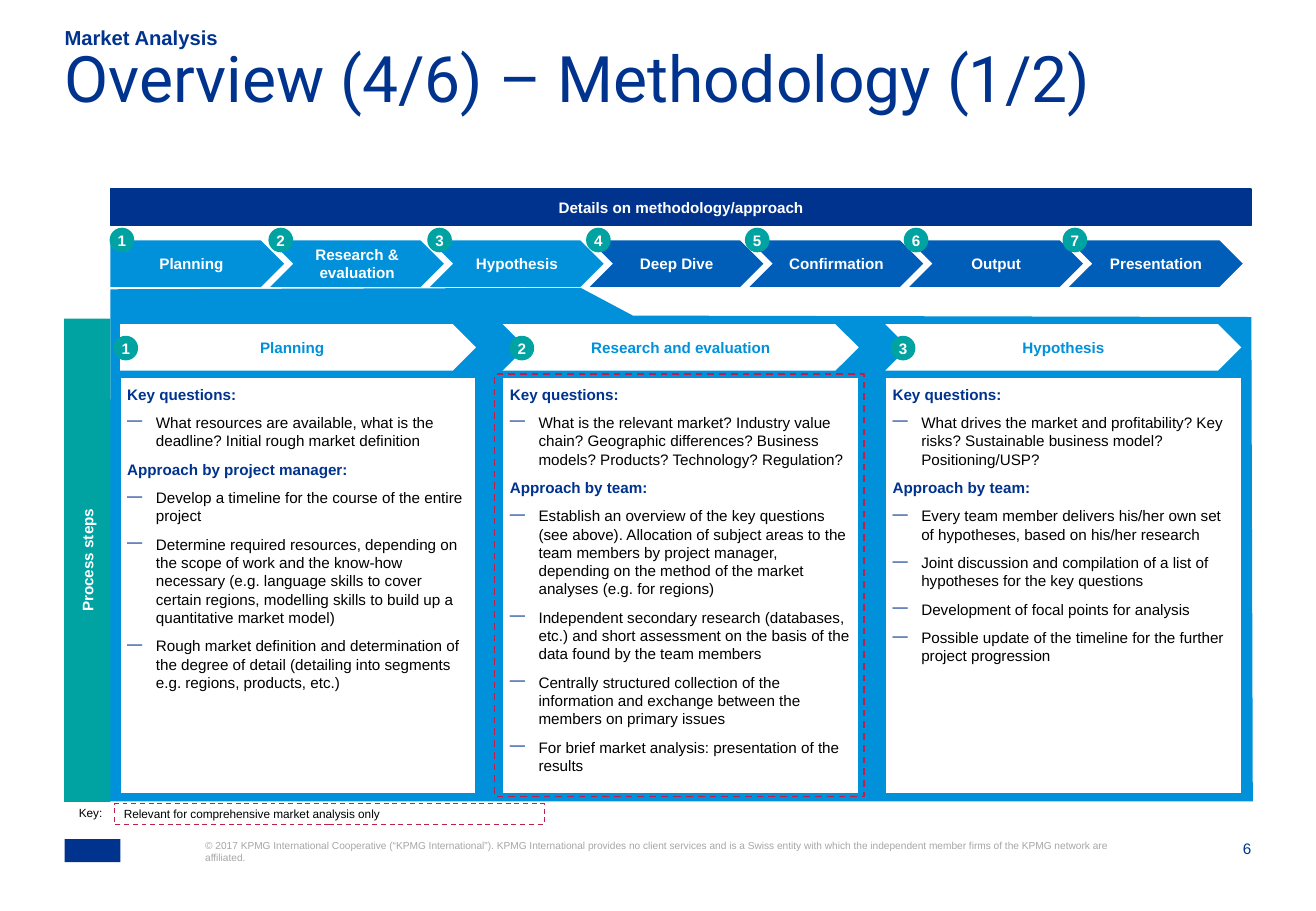
from pptx import Presentation
from pptx import util as u
from pptx.dml.color import RGBColor
from pptx.enum import dml, shapes, text
from pptx.oxml import parse_xml
from pptx.oxml.ns import nsdecls

NAVY = RGBColor(0x00, 0x33, 0x8D)
BLUE = RGBColor(0x00, 0x5E, 0xB8)
SKY = RGBColor(0x00, 0x91, 0xDA)
TEAL = RGBColor(0x00, 0xA3, 0xA1)
RED = RGBColor(0xBC, 0x20, 0x4B)
GREY = RGBColor(0xA6, 0xA6, 0xA6)
WHITE = RGBColor(0xFF, 0xFF, 0xFF)
BLACK = RGBColor(0x00, 0x00, 0x00)
Cm = u.Cm
Kind = shapes.MSO_SHAPE
Side = text.PP_ALIGN
Hold = text.MSO_ANCHOR

deck = Presentation()
deck.slide_width, deck.slide_height = Cm(27.51), Cm(19.05)
slide = deck.slides.add_slide(deck.slide_layouts[6])


def draw(kind, x, y, w, h, fill=None, line=None, width=1, dash=False):
    box = [Cm(v) for v in (x, y, w, h)]
    if kind is None:
        return slide.shapes.add_textbox(*box)
    item = slide.shapes.add_shape(kind, *box)
    item.shadow.inherit = False
    if fill is None:
        item.fill.background()
    else:
        item.fill.solid()
        item.fill.fore_color.rgb = fill
    if line is None:
        item.line.fill.background()
    else:
        item.line.color.rgb = line
        item.line.width = u.Pt(width)
    if dash:
        item.line.dash_style = dml.MSO_LINE.DASH
    return item


def say(item, words, size=9, tint=WHITE, bold=True, font="Arial", side=Side.CENTER,
        hold=Hold.MIDDLE, pad=0, lead=None, gap=0, dash=False):
    frame = item.text_frame
    frame.word_wrap = True
    frame.vertical_anchor = hold
    frame.margin_left = frame.margin_right = Cm(pad)
    frame.margin_top = frame.margin_bottom = Cm(pad)
    para = frame.paragraphs[0]
    if para.runs:
        para = frame.add_paragraph()
        para.space_before = u.Pt(gap)
    para.space_after = u.Pt(gap)
    para.alignment = side
    if lead:
        para.line_spacing = lead
    if dash:
        props = para._p.get_or_add_pPr()
        props.set("marL", str(Cm(0.6)))
        props.set("indent", str(-Cm(0.6)))
        for tag in (f'<a:buClr {nsdecls("a")}><a:srgbClr val="{NAVY}"/></a:buClr>',
                    f'<a:buChar {nsdecls("a")} char="—"/>'):
            props.append(parse_xml(tag))
    run = para.add_run()
    run.text = words
    run.font.name = font
    run.font.size = u.Pt(size)
    run.font.bold = bold
    run.font.color.rgb = tint


say(draw(None, 25.07, 17.55, 1.09, 0.41), "6", tint=NAVY, bold=False,
    side=Side.RIGHT, hold=Hold.TOP)
draw(Kind.RECTANGLE, 1.35, 17.55, 1.17, 0.48, NAVY)
say(draw(None, 4.29, 17.55, 19.02, 1.04),
    "© 2017 KPMG International Cooperative (“KPMG International”). KPMG International "
    "provides no client services and is a Swiss entity with which the independent member "
    "firms of the KPMG network are affiliated.",
    size=6, tint=GREY, bold=False, side=Side.LEFT, hold=Hold.TOP)

edge = [(2.31, 6.05), (2.29, 16.76), (26.19, 16.76), (26.16, 6.63),
        (13.23, 6.6), (12.14, 6.02)]
pen = slide.shapes.build_freeform(Cm(edge[0][0]), Cm(edge[0][1]))
pen.add_line_segments([(Cm(x), Cm(y)) for x, y in edge[1:]], close=True)
back = pen.convert_to_shape()
back.shadow.inherit = False
back.fill.solid()
back.fill.fore_color.rgb = SKY
back.line.fill.background()

say(draw(None, 1.35, 0.56, 23.88, 0.48), "Market Analysis", size=12, tint=NAVY,
    side=Side.LEFT, hold=Hold.BOTTOM)
say(draw(None, 1.35, 1.24, 24.79, 2.01), "Overview (4/6) – Methodology (1/2)", size=38,
    tint=NAVY, bold=False, font="Roboto", side=Side.LEFT, hold=Hold.TOP, lead=0.7)
say(draw(Kind.RECTANGLE, 2.31, 3.96, 23.85, 0.76, NAVY, NAVY),
    "Details on methodology/approach", pad=0.15)

steps = ["Planning", "Research & evaluation", "Hypothesis", "Deep Dive",
         "Confirmation", "Output", "Presentation"]
for i, step in enumerate(steps):
    kind = Kind.CHEVRON if i else Kind.PENTAGON
    say(draw(kind, 2.31 + 3.34 * i, 5.03, 3.63, 0.97, SKY if i < 3 else BLUE), step, pad=0.15)
for i in range(len(steps)):
    say(draw(Kind.OVAL, 2.31 + 3.32 * i, 4.78, 0.48, 0.48, TEAL, TEAL), str(i + 1))

panels = [
    ("Planning", 2.39, "Approach by project manager:",
     "What resources are available, what is the deadline? Initial rough market definition",
     ["Develop a timeline for the course of the entire project",
      "Determine required resources, depending on the scope of work and the know-how "
      "necessary (e.g. language skills to cover certain regions, modelling skills to build "
      "up a quantitative market model)",
      "Rough market definition and determination of the degree of detail (detailing into "
      "segments e.g. regions, products, etc.)"]),
    ("Research and evaluation", 10.67, "Approach by team:",
     "What is the relevant market? Industry value chain? Geographic differences? Business "
     "models? Products? Technology? Regulation?",
     ["Establish an overview of the key questions (see above). Allocation of subject areas "
      "to the team members by project manager, depending on the method of the market "
      "analyses (e.g. for regions)",
      "Independent secondary research (databases, etc.) and short assessment on the basis "
      "of the data found by the team members",
      "Centrally structured collection of the information and exchange between the members "
      "on primary issues",
      "For brief market analysis: presentation of the results"]),
    ("Hypothesis", 18.64, "Approach by team:",
     "What drives the market and profitability? Key risks? Sustainable business model? "
     "Positioning/USP?",
     ["Every team member delivers his/her own set of hypotheses, based on his/her research",
      "Joint discussion and compilation of a list of hypotheses for the key questions",
      "Development of focal points for analysis",
      "Possible update of the timeline for the further project progression"]),
]
for i, (name, spot, head, ask, tasks) in enumerate(panels):
    left = 2.51 + 8 * i
    kind = Kind.CHEVRON if i else Kind.PENTAGON
    say(draw(kind, left, 6.78, 7.44, 0.97, WHITE), name, tint=SKY)
    say(draw(Kind.OVAL, spot, 7.04, 0.48, 0.48, TEAL, TEAL), str(i + 1))
    body = draw(Kind.RECTANGLE, left, 7.9, 7.44, 8.69, WHITE, SKY, 0.5)
    rows = [("Key questions:", True), (ask, False), (head, True)]
    for words, top in rows + [(task, False) for task in tasks]:
        say(body, words, tint=NAVY if top else BLACK, bold=top, dash=not top,
            side=Side.LEFT, hold=Hold.TOP, pad=0.15, gap=3)

draw(Kind.RECTANGLE, 10.34, 7.82, 7.72, 8.84, line=RED, dash=True)
say(draw(Kind.RECTANGLE, 2.39, 16.81, 8.99, 0.43, WHITE, RED, 0.75, True),
    "Relevant for comprehensive market analysis only", size=7, tint=BLACK, bold=False,
    side=Side.LEFT, pad=0.2)
say(draw(None, 1.65, 16.84, 0.7, 0.43), "Key:", size=7, tint=BLACK, bold=False,
    side=Side.LEFT, hold=Hold.TOP)
band = draw(Kind.RECTANGLE, -3.23, 11.23, 10.11, 0.97, TEAL)
band.rotation = 270
say(band, "Process steps")

deck.save("out.pptx")
